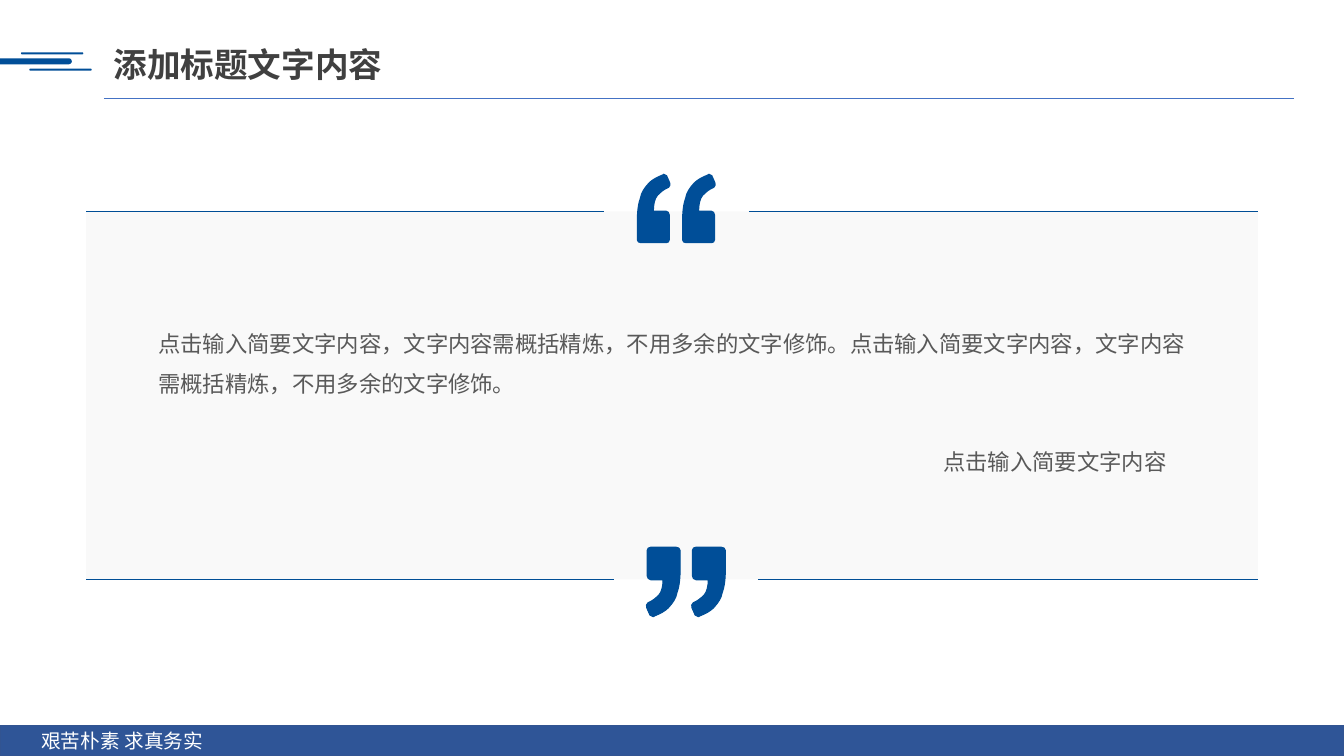
from dataclasses import dataclass

from lxml import etree
from pptx import Presentation
from pptx.dml.color import RGBColor
from pptx.enum.shapes import MSO_CONNECTOR, MSO_SHAPE
from pptx.enum.text import MSO_AUTO_SIZE, PP_ALIGN
from pptx.oxml.ns import qn
from pptx.util import Cm, Pt

RECTANGLE = MSO_SHAPE.RECTANGLE
ROUNDED = MSO_SHAPE.ROUNDED_RECTANGLE
STRAIGHT = MSO_CONNECTOR.STRAIGHT
FIT_TEXT = MSO_AUTO_SIZE.SHAPE_TO_FIT_TEXT
LEFT, CENTER, RIGHT = PP_ALIGN.LEFT, PP_ALIGN.CENTER, PP_ALIGN.RIGHT

COLORS = {
    "panel": "F2F2F2",
    "accent": "004E98",
    "rule": "004E96",
    "title_rule": "4472C4",
    "footer": "2F5597",
    "footer_edge": "325491",
    "title": "404040",
    "body": "595959",
    "white": "FFFFFF",
}
BODY_FONT = "Noto Sans CJK SC"
HEADING_FONT = "Roboto"

MARK_PITCH = 1.14
MARK_START = (0.72, 0.03)
MARK_SEGMENTS = [
    [(0.74, 0.03), (0.76, 0.05), (0.76, 0.05)],
    [(0.84, 0.23)],
    [(0.86, 0.28), (0.85, 0.33), (0.81, 0.36)],
    [(0.69, 0.41), (0.61, 0.48), (0.53, 0.56)],
    [(0.46, 0.64), (0.43, 0.79), (0.43, 0.94)],
    [(0.74, 0.94)],
    [(0.79, 0.94), (0.83, 0.99), (0.83, 1.04)],
    [(0.83, 1.68)],
    [(0.83, 1.73), (0.79, 1.76), (0.74, 1.76)],
    [(0.1, 1.76)],
    [(0.05, 1.76), (0, 1.73), (0, 1.68)],
    [(0, 1.17)],
    [(0, 0.94), (0.03, 0.74), (0.08, 0.61)],
    [(0.1, 0.48), (0.18, 0.36), (0.3, 0.23)],
    [(0.38, 0.15), (0.51, 0.08), (0.64, 0.03)],
    [(0.66, 0), (0.69, 0), MARK_START],
]


@dataclass
class Block:
    left: float
    top: float
    width: float
    height: float
    fill: str
    kind: int = RECTANGLE


@dataclass
class Rule:
    start: float
    end: float
    top: float
    color: str = "rule"


@dataclass
class Quote:
    left: float
    top: float
    direction: int
    outlined: bool


@dataclass
class Label:
    left: float
    top: float
    width: float
    height: float
    text: str
    size: int
    color: str
    font: str = BODY_FONT
    bold: bool = False
    align: int = LEFT
    spacing: float = 1.0


PANEL = Block(2.17, 5.33, 29.53, 9.27, "panel")
FOOTER = Block(0, 18.29, 33.87, 0.76, "footer")
TITLE_BARS = [
    Block(-2.31, 1.47, 4.12, 0.15, "accent", ROUNDED),
    Block(0.74, 1.73, 1.57, 0.05, "accent", ROUNDED),
    Block(0.53, 1.32, 1.57, 0.05, "accent", ROUNDED),
]
QUOTES = [Quote(16.05, 4.37, 1, False), Quote(18.28, 15.55, -1, True)]
RULES = [
    Rule(2.17, 15.23, 5.33),
    Rule(18.87, 31.7, 5.33),
    Rule(2.17, 15.47, 14.59),
    Rule(19.1, 31.7, 14.59),
    Rule(2.62, 32.62, 2.47, "title_rule"),
]
LABELS = [
    Label(3.74, 7.85, 26.42, 2.18,
          "点击输入简要文字内容，文字内容需概括精炼，不用多余的文字修饰。"
          "点击输入简要文字内容，文字内容需概括精炼，不用多余的文字修饰。",
          16, "body", spacing=1.5),
    Label(23.3, 11.18, 6.35, 0.94, "点击输入简要文字内容", 16, "body", align=RIGHT),
    Label(2.61, 0.97, 9.45, 1.27, "添加标题文字内容", 24, "title", HEADING_FONT, True),
    Label(0, 18.24, 6.17, 0.86, "艰苦朴素 求真务实", 14, "white", HEADING_FONT, align=CENTER),
]


def color(name: str) -> RGBColor:
    return RGBColor.from_string(COLORS[name])


def paint(shape, fill: str) -> None:
    shape.shadow.inherit = False
    shape.fill.solid()
    shape.fill.fore_color.rgb = color(fill)
    shape.line.fill.background()


def outline(shape, line_color: str, width: float) -> None:
    shape.line.color.rgb = color(line_color)
    shape.line.width = Pt(width)


def add_block(slide, block: Block):
    shape = slide.shapes.add_shape(
        block.kind, Cm(block.left), Cm(block.top), Cm(block.width), Cm(block.height))
    if block.kind == ROUNDED:
        shape.adjustments[0] = 0.5
    paint(shape, block.fill)
    return shape


def set_opacity(shape, percent: int) -> None:
    fill_color = shape._element.spPr.find(qn("a:solidFill"))[0]
    etree.SubElement(fill_color, qn("a:alpha")).set("val", str(percent * 1000))


def add_rule(slide, rule: Rule) -> None:
    connector = slide.shapes.add_connector(
        STRAIGHT, Cm(rule.start), Cm(rule.top), Cm(rule.end), Cm(rule.top))
    outline(connector, rule.color, 0.5)
    etree.SubElement(connector._element.spPr, qn("a:effectLst"))


def bend_segments(shape) -> None:
    lines = iter(list(shape._element.iter(qn("a:lnTo"))))
    for segment in MARK_SEGMENTS * 2:
        first, *others = [next(lines) for _ in segment]
        if others:
            curve = etree.Element(qn("a:cubicBezTo"))
            first.addprevious(curve)
            for line in (first, *others):
                curve.append(line[0])
                line.getparent().remove(line)


def add_quote(slide, quote: Quote) -> None:
    points = [MARK_START] + [point for segment in MARK_SEGMENTS for point in segment]
    first, second = [
        [(Cm(quote.left + quote.direction * (x + offset)),
          Cm(quote.top + quote.direction * y)) for x, y in points]
        for offset in (0, MARK_PITCH)]
    builder = slide.shapes.build_freeform(*first[0])
    builder.add_line_segments(first[1:], close=True)
    builder.move_to(*second[0])
    builder.add_line_segments(second[1:], close=True)
    shape = builder.convert_to_shape()
    bend_segments(shape)
    paint(shape, "accent")
    if quote.outlined:
        outline(shape, "rule", 0.75)


def add_label(slide, label: Label) -> None:
    box = slide.shapes.add_textbox(
        Cm(label.left), Cm(label.top), Cm(label.width), Cm(label.height))
    text_frame = box.text_frame
    text_frame.word_wrap = True
    text_frame.auto_size = FIT_TEXT
    text_frame.text = label.text
    paragraph = text_frame.paragraphs[0]
    paragraph.alignment = label.align
    paragraph.line_spacing = label.spacing
    font = paragraph.runs[0].font
    font.size = Pt(label.size)
    font.bold = label.bold
    font.color.rgb = color(label.color)
    font.name = label.font
    etree.SubElement(font._element, qn("a:ea")).set("typeface", label.font)


def main() -> None:
    presentation = Presentation()
    presentation.slide_width, presentation.slide_height = Cm(33.87), Cm(19.05)
    slide = presentation.slides.add_slide(presentation.slide_layouts[6])
    set_opacity(add_block(slide, PANEL), 40)
    for quote in QUOTES:
        add_quote(slide, quote)
    for rule in RULES:
        add_rule(slide, rule)
    for bar in TITLE_BARS:
        add_block(slide, bar)
    outline(add_block(slide, FOOTER), "footer_edge", 1)
    for label in LABELS:
        add_label(slide, label)
    presentation.save("out.pptx")


if __name__ == "__main__":
    main()
